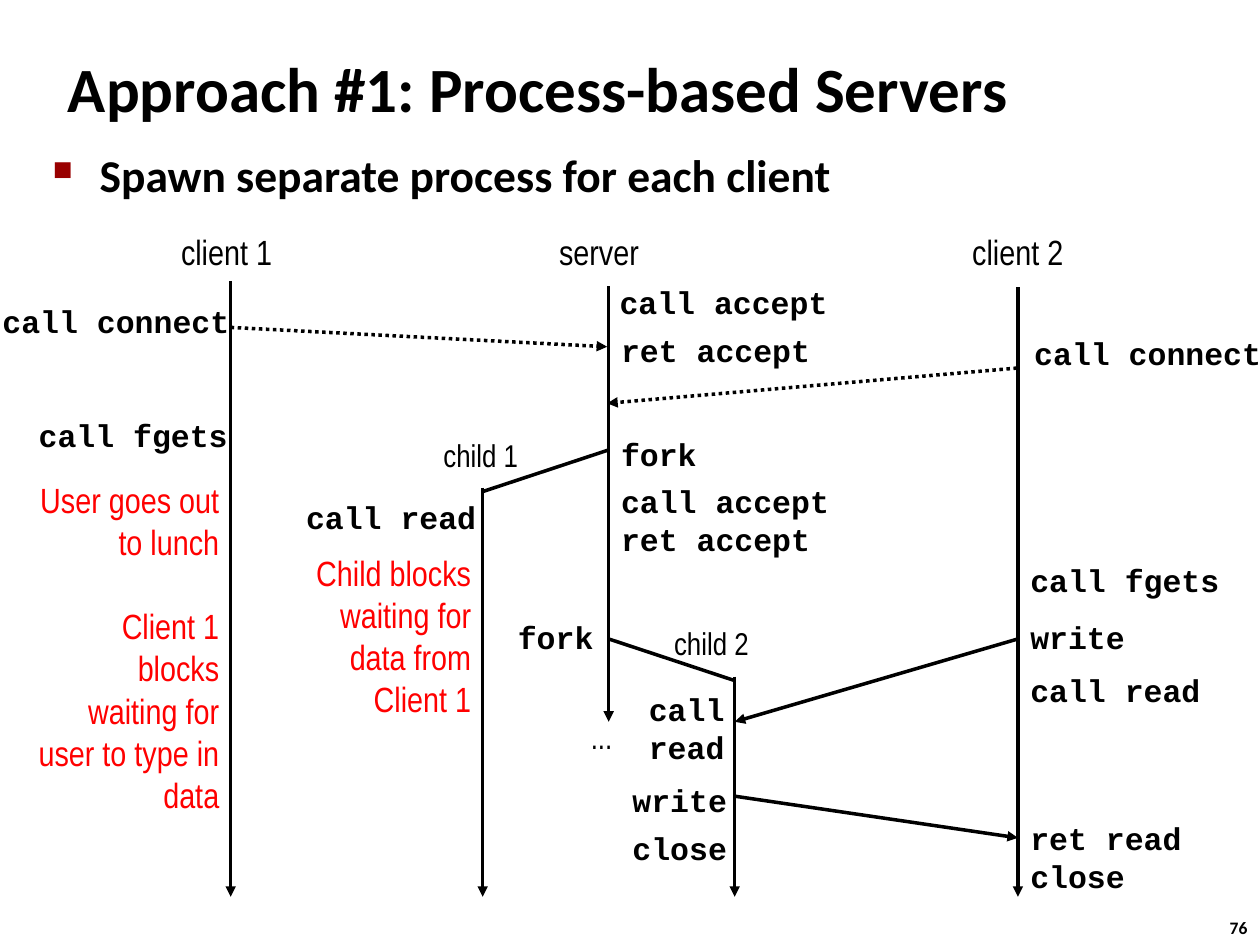
"""Build a slide on process-based servers with a client and server timeline."""
from lxml.etree import SubElement
from pptx import Presentation
from pptx.dml.color import RGBColor
from pptx.enum.dml import MSO_LINE
from pptx.enum.shapes import MSO_CONNECTOR
from pptx.enum.text import MSO_ANCHOR, MSO_AUTO_SIZE, PP_ALIGN
from pptx.oxml.ns import qn
from pptx.util import Cm, Pt

COLORS = {"text": "000000", "blocked": "FF0000", "bullet": "990000"}
CODE = "Courier New"
NARROW = "Arial Narrow"
HEADING = "Calibri"
CLIENT_1, CHILD_1, SERVER, CHILD_2, CLIENT_2 = 4.65, 9.73, 12.27, 14.81, 20.52
BOTTOM = 18.08


def add_text(box, lines, font, size, bold=False, color="text", wrap=False, align=PP_ALIGN.LEFT):
    shape = slide.shapes.add_textbox(*[Cm(length) for length in box])
    frame = shape.text_frame
    frame.word_wrap = wrap
    frame.auto_size = MSO_AUTO_SIZE.SHAPE_TO_FIT_TEXT
    for index, line in enumerate(lines):
        paragraph = frame.add_paragraph() if index else frame.paragraphs[0]
        paragraph.alignment = align
        run = paragraph.add_run()
        run.text = line
        run.font.name = font
        run.font.size = Pt(size)
        run.font.bold = bold
        run.font.color.rgb = RGBColor.from_string(COLORS[color])
    return frame


def add_line(start_x, start_y, end_x, end_y, arrow=True, dotted=False):
    connector = slide.shapes.add_connector(
        MSO_CONNECTOR.STRAIGHT, Cm(start_x), Cm(start_y), Cm(end_x), Cm(end_y)
    )
    connector.line.color.rgb = RGBColor.from_string(COLORS["text"])
    connector.line.width = Pt(2)
    if dotted:
        connector.line.dash_style = MSO_LINE.ROUND_DOT
    if arrow:
        SubElement(connector.line._get_or_add_ln(), qn("a:tailEnd"), type="triangle")
    SubElement(connector._element.spPr, qn("a:effectLst"))


presentation = Presentation()
presentation.slide_width = Cm(25.4)
presentation.slide_height = Cm(19.05)
slide = presentation.slides.add_slide(presentation.slide_layouts[6])

add_text((24.54, 18.36, 0.94, 0.69), ["76"], HEADING, 10, bold=True)

title = add_text((1.12, 0.69, 24.23, 2.16), ["Approach #1: Process-based Servers"],
                 HEADING, 36, bold=True, wrap=True)
title.auto_size = MSO_AUTO_SIZE.NONE
title.vertical_anchor = MSO_ANCHOR.MIDDLE

body = add_text((0.81, 2.84, 24.59, 15.04), ["Spawn separate process for each client"],
                HEADING, 26, bold=True, wrap=True)
body.auto_size = MSO_AUTO_SIZE.NONE
properties = body.paragraphs[0]._p.get_or_add_pPr()
properties.set("marL", str(Cm(0.95)))
properties.set("indent", str(Cm(-0.95)))
bullet_color = SubElement(properties, qn("a:buClr"))
SubElement(bullet_color, qn("a:srgbClr"), val=COLORS["bullet"])
SubElement(properties, qn("a:buSzPct"), val="60000")
SubElement(properties, qn("a:buChar"), char="■")

for x, top, bottom in [
    (CLIENT_1, 5.66, BOTTOM),
    (SERVER, 5.77, 14.55),
    (CLIENT_2, 5.79, BOTTOM),
    (CHILD_1, 9.83, BOTTOM),
    (CHILD_2, 13.64, BOTTOM),
]:
    add_line(x, top, x, bottom)

add_line(CLIENT_1, 6.6, 12.24, 6.99, dotted=True)
add_line(20.5, 7.42, 12.24, 8.13, dotted=True)
add_line(SERVER, 9.07, CHILD_1, 9.91, arrow=False)
add_line(SERVER, 12.88, CHILD_2, 13.72, arrow=False)
add_line(CLIENT_2, 12.88, CHILD_2, 14.55)
add_line(CHILD_2, 16.05, CLIENT_2, 16.89)

for text, left, top, width, height, size in [
    ("client 1", 3.4, 4.52, 2.64, 1.12, 20),
    ("server", 11.02, 4.52, 2.34, 1.12, 20),
    ("client 2", 19.35, 4.52, 2.64, 1.12, 20),
    ("child 1", 8.69, 8.66, 2.24, 1.02, 18),
    ("child 2", 13.34, 12.45, 2.24, 1.02, 18),
    ("...", 11.66, 14.35, 1.04, 1.02, 18),
]:
    add_text((left, top, width, height), [text], NARROW, size)

for text, left, top in [
    ("call connect", -0.2, 5.97),
    ("call fgets", 0.53, 8.26),
    ("call read", 5.92, 9.91),
    ("call accept", 12.24, 5.59),
    ("ret accept", SERVER, 6.55),
    ("fork", SERVER, 8.64),
    ("call accept", SERVER, 9.6),
    ("ret accept", SERVER, 10.36),
    ("fork", 10.19, 12.34),
    ("write", 12.5, 15.62),
    ("close", 12.5, 16.59),
    ("call connect", 20.6, 6.6),
    ("call fgets", CLIENT_2, 11.18),
    ("write", CLIENT_2, 12.34),
    ("call read", CLIENT_2, 13.41),
    ("ret read", CLIENT_2, 16.38),
    ("close", CLIENT_2, 17.15),
]:
    width = 0.38 * len(text) + 0.53
    add_text((left, top, width, 1.02), [text], CODE, 18, bold=True)

add_text((12.83, 13.79, 2.44, 1.8), ["call", "read"], CODE, 18, bold=True)

client_note = add_text(
    (0.43, 9.53, 4.24, 7.09),
    ["User goes out to lunch", "Client 1 blocks", "waiting for user to type in data"],
    NARROW, 20, color="blocked", wrap=True, align=PP_ALIGN.RIGHT,
)
client_note.paragraphs[1].space_before = Pt(24)
add_text((5.51, 11, 4.24, 3.68), ["Child blocks waiting for data from Client 1"],
         NARROW, 20, color="blocked", wrap=True, align=PP_ALIGN.RIGHT)

presentation.save("out.pptx")
